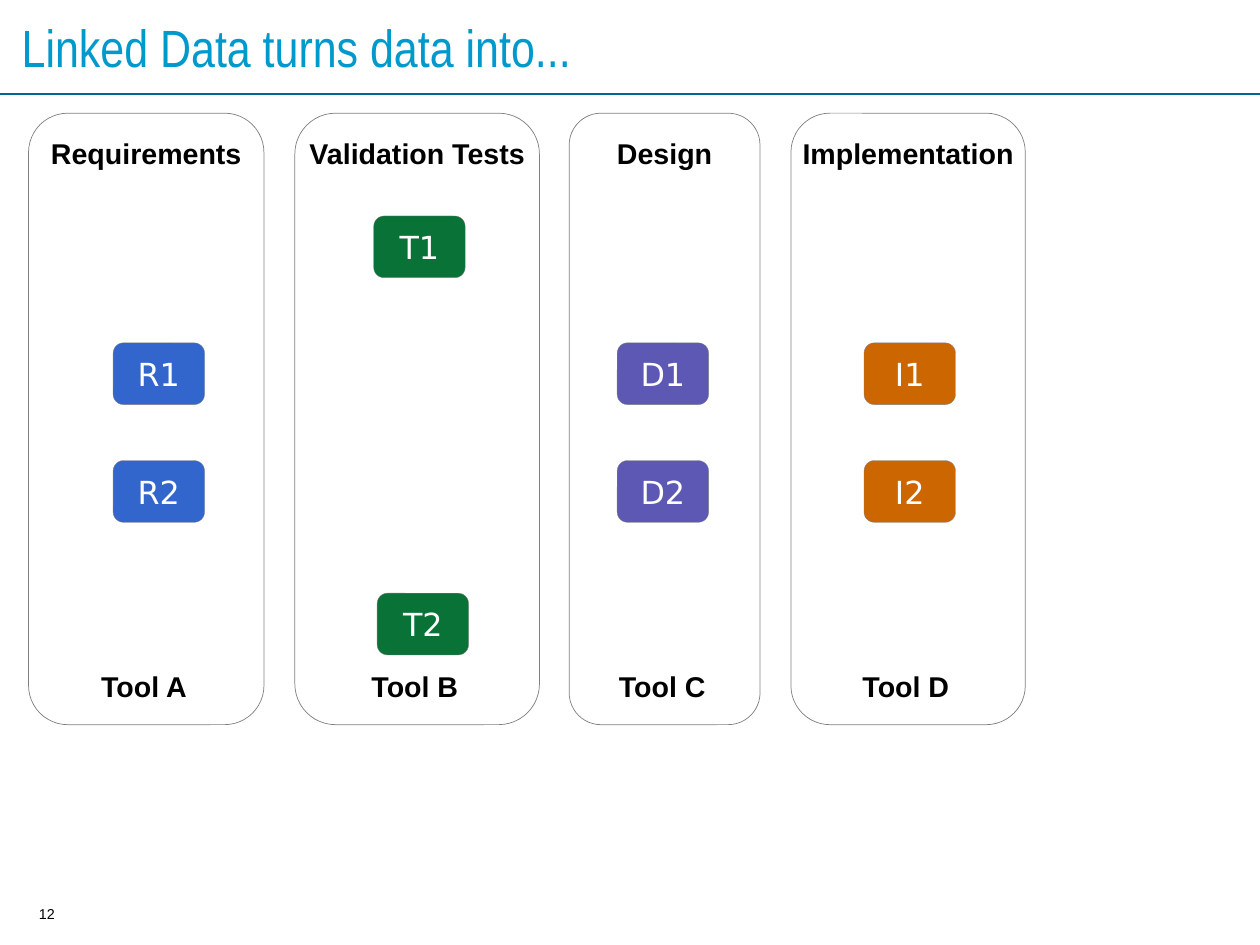
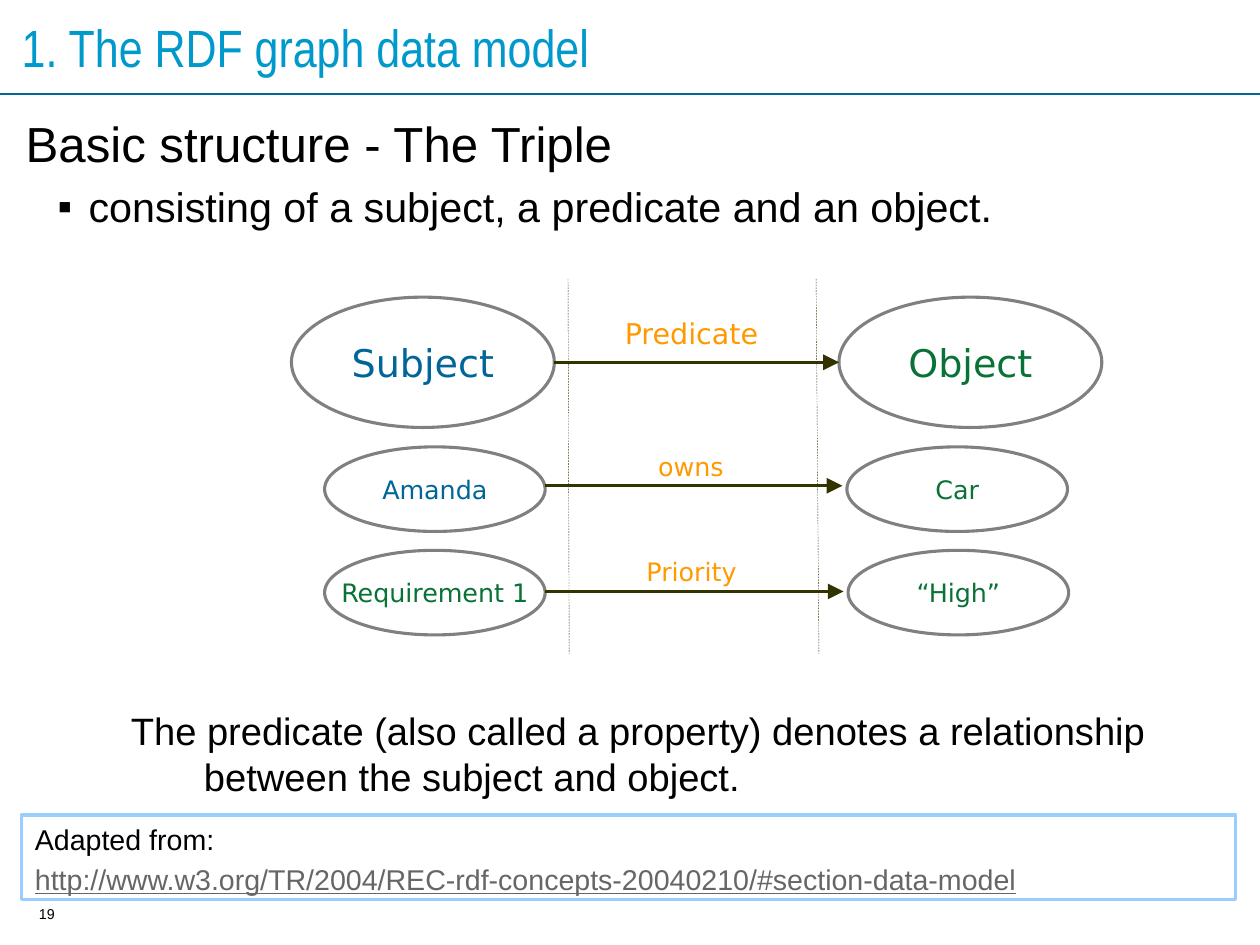
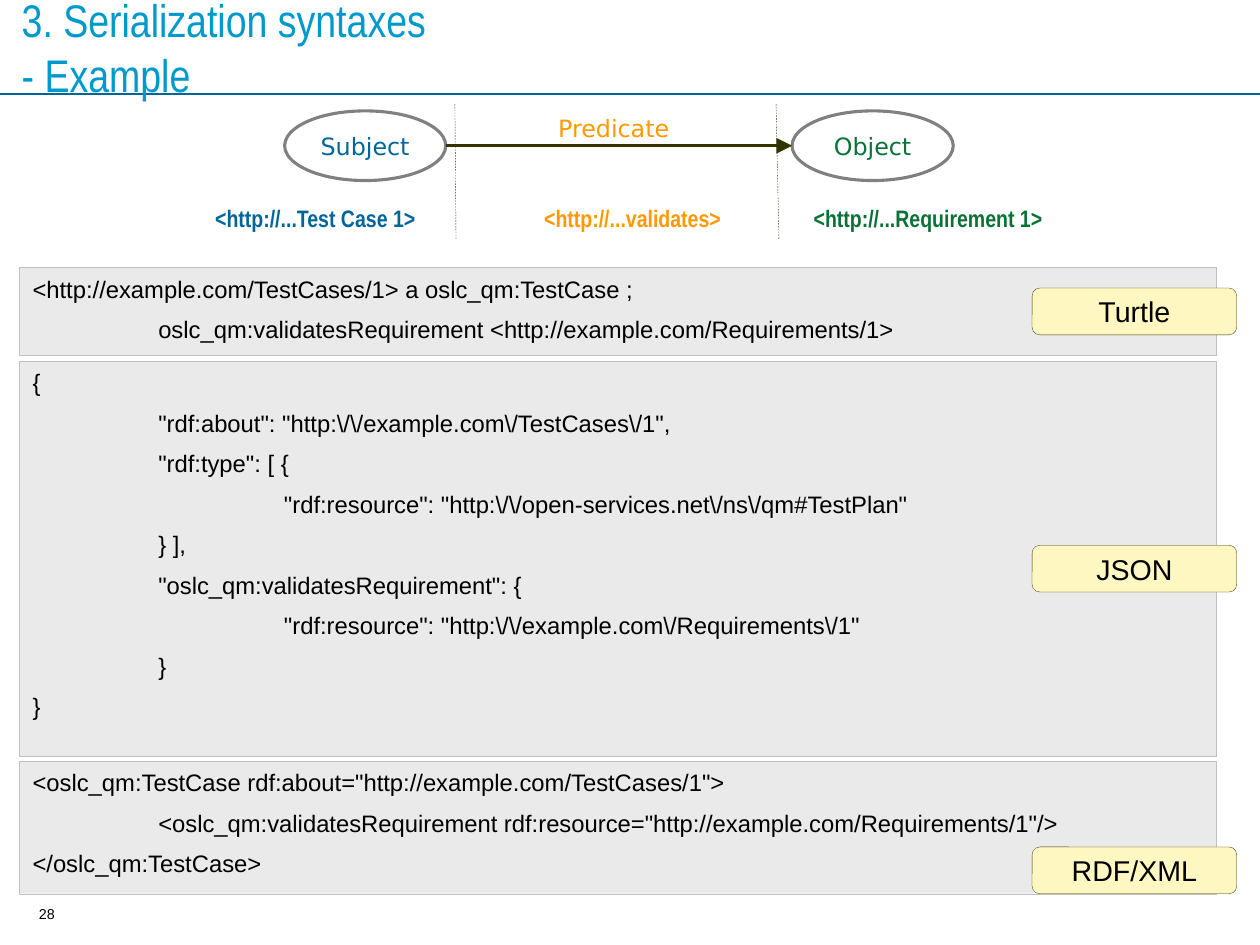
import collections

import lxml.etree
import pptx
import pptx.dml.color
import pptx.enum.dml
import pptx.enum.shapes
import pptx.enum.text
import pptx.oxml.ns
import pptx.util

# The page is a grid of square cells, about 110 columns by 83 rows
PAGE_WIDTH, PAGE_HEIGHT = pptx.util.Cm(28), pptx.util.Cm(21)
CELL = pptx.util.Inches(0.1)
COLUMNS = PAGE_WIDTH / CELL
Box = collections.namedtuple("Box", "left top width height")

SHAPES = pptx.enum.shapes.MSO_SHAPE
LEFT = pptx.enum.text.PP_ALIGN.LEFT
CENTER = pptx.enum.text.PP_ALIGN.CENTER
MIDDLE = pptx.enum.text.MSO_ANCHOR.MIDDLE
TOP = pptx.enum.text.MSO_ANCHOR.TOP

BLACK, WHITE, GREY, OLIVE = "000000", "FFFFFF", "808080", "333300"
BLUE, GREEN, ORANGE, TITLE_BLUE = "006699", "097236", "FF9900", "0099CC"

# Text styles
TITLE = dict(name="Arial Narrow", colour=TITLE_BLUE, anchor=MIDDLE)
LABEL = dict(name="Arial", colour=BLACK, anchor=MIDDLE, alignment=CENTER, wrap=False)
NODE = dict(LABEL, name="DejaVu Sans")
BODY = dict(name="Arial", colour=BLACK, gap=0.2)
CODE = dict(BODY, size=15, gap=0.5)
CODE_INDENT = 11


def cells(count):
    return round(count * CELL)


def inside(region, left, top, width, height):
    """Turn a box measured from a region's corner into a page box."""
    return Box(region.left + left, region.top + top, width, height)


def colour(code):
    return pptx.dml.color.RGBColor.from_string(code)


def set_all(target, values):
    for name, value in values.items():
        setattr(target, name, value)


def add_child(parent, tag, **attributes):
    child = lxml.etree.SubElement(parent, pptx.oxml.ns.qn(tag))
    for name, value in attributes.items():
        child.set(name, value)
    return child


# Text
def write_para(para, text, look, first):
    size = look["size"]
    values = {"alignment": look.get("alignment", LEFT)}
    if "line_spacing" in look:
        values["line_spacing"] = look["line_spacing"]
    if not first:
        values["space_before"] = pptx.util.Pt(look.get("gap", 0) * size)
    set_all(para, values)
    properties = para._p.get_or_add_pPr()
    properties.set("marL", str(cells(look.get("margin", 0))))
    properties.set("indent", str(cells(look.get("indent", 0))))
    if "bullet" in look:
        add_child(properties, "a:buFont", typeface="Arial")
        add_child(properties, "a:buChar", char=look["bullet"])
    for number, piece in enumerate(text.split("\n")):
        if number:
            para.add_line_break()
        span = para.add_run()
        span.text = piece
        set_all(span.font, {"size": pptx.util.Pt(size), "name": look["name"],
                            "bold": look.get("bold", False),
                            "underline": look.get("underline", False)})
        span.font.color.rgb = colour(look["colour"])


def write(shape, lines, style, **changes):
    """Fill a shape with lines; a line is text, or text with its own format."""
    look = dict(style, **changes)
    frame = shape.text_frame
    set_all(frame, {"word_wrap": look.get("wrap", True),
                    "vertical_anchor": look.get("anchor", TOP),
                    "margin_left": cells(1.15), "margin_right": cells(1.15),
                    "margin_top": cells(0.6), "margin_bottom": cells(0.6)})
    for number, line in enumerate(lines):
        text, own = (line, {}) if isinstance(line, str) else line
        para = frame.add_paragraph() if number else frame.paragraphs[0]
        write_para(para, text, dict(look, **own), first=number == 0)


def add_text(page, box, lines, style, **changes):
    shape = page.shapes.add_textbox(*map(cells, box))
    write(shape, lines, style, **changes)


# Shapes and lines
def add_shape(page, kind, box, fill=None, line=GREY, weight=0.2):
    shape = page.shapes.add_shape(kind, *map(cells, box))
    shape.shadow.inherit = False
    if fill:
        shape.fill.solid()
        shape.fill.fore_color.rgb = colour(fill)
    else:
        shape.fill.background()
    shape.line.color.rgb = colour(line)
    shape.line.width = pptx.util.Pt(weight)
    return shape


def add_line(page, start, end, line, weight, dashed=False, arrow=False):
    connector = page.shapes.add_connector(
        pptx.enum.shapes.MSO_CONNECTOR.STRAIGHT, *map(cells, start + end))
    connector.line.color.rgb = colour(line)
    connector.line.width = pptx.util.Pt(weight)
    if dashed:
        connector.line.dash_style = pptx.enum.dml.MSO_LINE.DASH
    if arrow:
        add_child(connector.line._get_or_add_ln(), "a:tailEnd",
                  type="triangle", w="lg", len="lg")
    add_child(connector._element.spPr, "a:effectLst")


# What every slide shares: rule, page number, title
def add_page(deck, number, title, title_size=33):
    page = deck.slides.add_slide(deck.slide_layouts[6])
    add_line(page, (0, 8.22), (COLUMNS, 8.22), BLUE, 0.75)
    add_text(page, Box(1, 78.9, 6.2, 2.1), [str(number)], LABEL, size=9)
    add_text(page, Box(0.75, 0.9, 108.5, 6.4), [title], TITLE, size=title_size)
    return page


# Regions
def tool_column(page, region, heading, tool, fill, items):
    add_shape(page, SHAPES.ROUNDED_RECTANGLE, region, weight=0.45)
    for text, left, top in ((heading, -1, 0.75), (tool, -1.2, 47.4)):
        add_text(page, inside(region, left, top, region.width + 2, 5.5), [text], LABEL,
                 size=18, bold=True)
    for text, left, top in items:
        card = add_shape(page, SHAPES.ROUNDED_RECTANGLE,
                         inside(region, left, top, 8, 5.4), fill)
        write(card, [text], NODE, size=20, colour=WHITE)


def triple(page, region, node_width, names, sizes, lift, gap=0, rise=0,
           subject_colour=BLUE):
    """Subject and object at the ends of the region, joined by an arrow."""
    subject, predicate, target = names
    node_size, predicate_size = sizes
    far = region.width - node_width
    for text, left, ink in ((subject, 0, subject_colour), (target, far, GREEN)):
        node = add_shape(page, SHAPES.OVAL,
                         inside(region, left, 0, node_width, region.height), weight=1.95)
        write(node, [text], NODE, size=node_size, colour=ink)
    middle = region.top + region.height / 2 - rise
    add_line(page, (region.left + node_width, middle), (region.left + far - gap, middle),
             OLIVE, 1.95, arrow=True)
    label = inside(region, node_width - 0.45, region.height / 2 - lift - 1.5,
                   far - node_width, 3)
    add_text(page, label, [predicate], NODE, size=predicate_size, colour=ORANGE)


def dividers(page, region):
    for left, lean in ((region.left, 0.1), (region.left + region.width, 0.25)):
        add_line(page, (left, region.top), (left + lean, region.top + region.height),
                 OLIVE, 0.25, dashed=True)


def code_panel(page, region, lines, tag, tag_top):
    panel = add_shape(page, SHAPES.RECTANGLE, region, "EAEAEA", "C0C0C0", 0.1)
    write(panel, [(text, {"margin": depth * CODE_INDENT}) for depth, text in lines], CODE)
    badge = add_shape(page, SHAPES.ROUNDED_RECTANGLE,
                      inside(region, 88.6, tag_top, 17.9, 4.1), "FFF7C2", OLIVE)
    write(badge, [tag], LABEL, size=18)


# Slides
def tools_slide(deck):
    page = add_page(deck, 12, "Linked Data turns data into...")
    columns = [
        (2.5, 20.6, "Requirements", "Tool A", "3366CC",
         [("R1", 7.4, 20.1), ("R2", 7.4, 30.4)]),
        (25.8, 21.4, "Validation Tests", "Tool B", GREEN,
         [("T1", 6.9, 9), ("T2", 7.2, 42)]),
        (49.8, 16.7, "Design", "Tool C", "5C58B4",
         [("D1", 4.2, 20.1), ("D2", 4.2, 30.4)]),
        (69.2, 20.5, "Implementation", "Tool D", "CC6600",
         [("I1", 6.4, 20.1), ("I2", 6.4, 30.4)]),
    ]
    for left, width, *content in columns:
        tool_column(page, Box(left, 9.9, width, 53.5), *content)


def triple_slide(deck):
    page = add_page(deck, 19, "1. The RDF graph data model")
    add_text(page, Box(1.1, 9.35, 108, 12.8), [
        "Basic structure - The Triple",
        ("consisting of a subject, a predicate and an object.",
         dict(size=26, margin=5.5, indent=-2.7, bullet="▪")),
    ], BODY, size=31)

    # Diagram
    dividers(page, Box(49.7, 24.4, 21.7, 32.8))
    triple(page, Box(25.5, 26, 70.9, 11.4), 23, ("Subject", "Predicate", "Object"),
           (24, 18), lift=2.55)
    triple(page, Box(28.4, 39.1, 65, 7.4), 19.3, ("Amanda", "owns", "Car"),
           (16, 16), lift=2, gap=0.4, rise=0.3)
    triple(page, Box(28.4, 48.15, 65.1, 7.4), 19.3, ("Requirement 1", "Priority", "“High”"),
           (16, 16), lift=1.9, gap=0.4, rise=0.1, subject_colour=GREEN)

    # Explanation and reference
    add_text(page, Box(10.3, 61.3, 92.3, 10), [
        "The predicate (also called a property) denotes a relationship "
        "between the subject and object."], BODY, size=24, margin=6.4, indent=-6.4)
    reference = add_shape(page, SHAPES.RECTANGLE, Box(1.9, 71.3, 106.2, 7.4),
                          line="99CCFF", weight=2)
    write(reference, [
        "Adapted from:",
        ("http://www.w3.org/TR/2004/REC-rdf-concepts-20040210/#section-data-model",
         dict(colour="666666", underline=True)),
    ], BODY, size=18)


def syntax_slide(deck):
    page = add_page(deck, 28, "3. Serialization syntaxes\n- Example", 28.8)

    # Diagram with an example below each part
    triple(page, Box(24.9, 9.7, 58.5, 6.1), 14.1, ("Subject", "Predicate", "Object"),
           (15, 15), lift=1.55)
    dividers(page, Box(39.8, 9.1, 28.1, 11.9))
    for left, width, text, ink in ((15.3, 24.6, "<http://...Test Case 1>", BLUE),
                                   (42.1, 26.5, "<http://...validates>", ORANGE),
                                   (67.3, 27.8, "<http://...Requirement 1>", GREEN)):
        add_text(page, Box(left, 17.7, width, 5), [text], BODY, name="Arial Narrow",
                 size=15, bold=True, colour=ink, alignment=CENTER, line_spacing=0.8)

    # The same statement in three syntaxes
    panels = [
        (23.4, 7.7, "Turtle", 1.8, [
            (0, "<http://example.com/TestCases/1> a oslc_qm:TestCase ;"),
            (1, "oslc_qm:validatesRequirement <http://example.com/Requirements/1>")]),
        (31.6, 34.6, "JSON", 16.1, [
            (0, "{"),
            (1, r'"rdf:about": "http:\/\/example.com\/TestCases\/1",'),
            (1, '"rdf:type": [ {'),
            (2, r'"rdf:resource": "http:\/\/open-services.net\/ns\/qm#TestPlan"'),
            (1, "} ],"),
            (1, '"oslc_qm:validatesRequirement": {'),
            (2, r'"rdf:resource": "http:\/\/example.com\/Requirements\/1"'),
            (1, "}"),
            (0, "}")]),
        (66.6, 11.6, "RDF/XML", 7.5, [
            (0, '<oslc_qm:TestCase rdf:about="http://example.com/TestCases/1">'),
            (1, '<oslc_qm:validatesRequirement '
                'rdf:resource="http://example.com/Requirements/1"/>'),
            (0, "</oslc_qm:TestCase>")]),
    ]
    for top, height, tag, tag_top, lines in panels:
        code_panel(page, Box(1.7, top, 104.7, height), lines, tag, tag_top)


def main():
    deck = pptx.Presentation()
    deck.slide_width = PAGE_WIDTH
    deck.slide_height = PAGE_HEIGHT
    for build in (tools_slide, triple_slide, syntax_slide):
        build(deck)
    deck.save("out.pptx")


if __name__ == "__main__":
    main()
